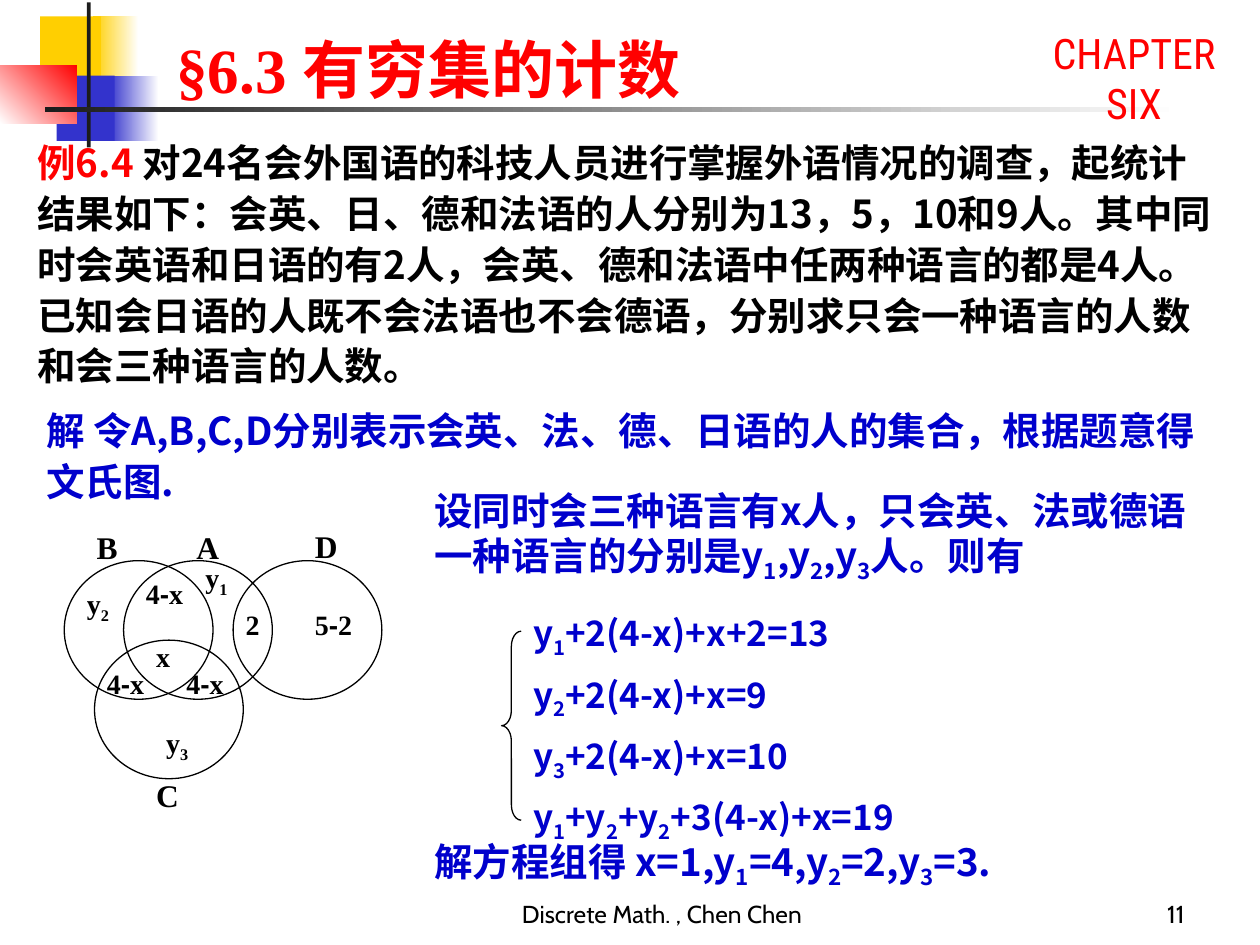
from dataclasses import dataclass, replace
from itertools import groupby
from typing import Iterator, Optional

from lxml.etree import SubElement
from pptx import Presentation
from pptx.dml.color import RGBColor as RGB
from pptx.enum.shapes import MSO_SHAPE as SHAPE
from pptx.enum.text import MSO_ANCHOR as ANCHOR, MSO_AUTO_SIZE as FIT, PP_ALIGN as ALIGN
from pptx.oxml.ns import qn
from pptx.util import Pt


@dataclass(frozen=True)
class Style:
    font: str
    size: float
    color: str
    bold: bool = True
    spacing: Optional[float] = None
    gap: float = 0
    align: ALIGN = ALIGN.LEFT
    anchor: ANCHOR = ANCHOR.TOP
    hyphen: Optional[str] = None


@dataclass(frozen=True)
class Theme:
    red: str = "FF0000"
    blue: str = "0000CC"
    black: str = "000000"
    white: str = "FFFFFF"
    yellow: str = "FFCF01"
    indigo: str = "3333CC"
    dark: str = "1C1C1C"
    cjk: str = "Noto Sans CJK SC"
    serif: str = "Times New Roman"
    title: Style = Style(serif, 36, red, spacing=47)
    chapter: Style = Style("Roboto Condensed", 24, red, bold=False, align=ALIGN.CENTER)
    prose: Style = Style(cjk, 22, blue, spacing=29.1)
    equation: Style = Style(cjk, 20, blue, spacing=30, gap=5)
    set_name: Style = Style(serif, 18, black)
    count: Style = Style(serif, 16, black, hyphen="Arial")
    footer: Style = Style("Cabin", 14, black, bold=False, align=ALIGN.CENTER, anchor=ANCHOR.BOTTOM)


T = Theme()


@dataclass(frozen=True)
class Box:
    x: float
    y: float
    w: float
    h: float

    def points(self) -> tuple:
        return Pt(self.x), Pt(self.y), Pt(self.w), Pt(self.h)


@dataclass(frozen=True)
class Block:
    box: Box
    start: str
    end: Optional[str] = None
    angle: float = 180


@dataclass(frozen=True)
class Note:
    box: Box
    text: str
    style: Style
    lead: str = ""


@dataclass(frozen=True)
class Label:
    text: str
    x: float
    y: float


BLOCKS = [
    Block(Box(53.3, 9.4, 25.9, 37.4), T.white, T.yellow),
    Block(Box(61.9, 43.2, 28.8, 37.4), T.white, T.indigo),
    Block(Box(23, 9.4, 34.6, 37.4), T.yellow),
    Block(Box(32.4, 43.2, 33.1, 37.4), T.indigo),
    Block(Box(0, 37.4, 43.9, 33.1), T.red, T.white, 225),
    Block(Box(49.7, 1.4, 2.2, 82.8), T.dark),
    Block(Box(25.9, 61.2, 648, 2.9), T.white, T.dark),
]
NOTES = [
    Note(Box(576, 12.2, 144, 64.8), "CHAPTER\vSIX", T.chapter),
    Note(Box(14.4, 73, 686.2, 147.6),
         "对24名会外国语的科技人员进行掌握外语情况的调查，起统计结果如下：会英、日、德和法语的人分别为"
         "13，5，10和9人。其中同时会英语和日语的有2人，会英、德和法语中任两种语言的都是4人。"
         "已知会日语的人既不会法语也不会德语，分别求只会一种语言的人数和会三种语言的人数。",
         replace(T.prose, color=T.black), lead="例6.4 "),
    Note(Box(19.4, 226.6, 686.2, 79.2),
         "解 令A,B,C,D分别表示会英、法、德、日语的人的集合，根据题意得文氏图.", T.prose),
    Note(Box(241.2, 272, 465.1, 73.4),
         "设同时会三种语言有x人，只会英、法或德语一种语言的分别是y_1,y_2,y_3人。则有", T.prose),
    Note(Box(241.2, 476, 447.8, 51.1), "解方程组得 x=1,y_1=4,y_2=2,y_3=3.", T.prose),
    Note(Box(264.2, 498.2, 228.2, 36), "Discrete Math. , Chen Chen", T.footer),
    Note(Box(534.2, 498.2, 149.8, 36), "11", replace(T.footer, align=ALIGN.RIGHT)),
]
EQUATIONS = ["y_1+2(4-x)+x+2=13", "y_2+2(4-x)+x=9", "y_3+2(4-x)+x=10", "y_1+y_2+y_2+3(4-x)+x=19"]
CIRCLES = [(36.7, 320.4), (70.6, 320.4), (133.2, 320.4), (54, 365.8)]
SET_NAMES = [Label("A", 105.1, 298.1), Label("D", 172.8, 297.4),
             Label("B", 48.2, 298.1), Label("C", 82.1, 439.9)]
COUNTS = [
    Label("y_1", 110.2, 316.8), Label("5-2", 172.8, 343.4), Label("2", 133.2, 343.4),
    Label("y_3", 87.8, 411.1), Label("x", 82.1, 362.2), Label("4-x", 54, 377.3),
    Label("y_2", 42.5, 331.9), Label("4-x", 99.4, 377.3), Label("4-x", 76.3, 326.2),
]


def pieces(text: str) -> Iterator[tuple[str, bool]]:
    first, *rest = text.split("_")
    yield first, False
    for part in rest:
        yield part[0], True
        if part[1:]:
            yield part[1:], False


def format_run(r, style: Style, font: str, subscript: bool = False) -> None:
    r.font.name = font
    r.font.size = Pt(style.size)
    r.font.bold = style.bold
    r.font.color.rgb = RGB.from_string(style.color)
    r_pr = r.font._element
    SubElement(r_pr, qn("a:ea")).set("typeface", T.cjk)
    if subscript:
        r_pr.set("baseline", "-25000")


def write(p, text: str, style: Style, lead: str = "") -> None:
    p.text = lead
    for r in p.runs:
        format_run(r, replace(style, color=T.red), style.font)
    p.alignment = style.align
    if style.spacing:
        p.line_spacing = Pt(style.spacing)
    for i, line in enumerate(text.split("\v")):
        if i:
            p.add_line_break()
        for chunk, subscript in pieces(line):
            for is_hyphen, chars in groupby(chunk, lambda c: bool(style.hyphen) and c == "-"):
                r = p.add_run()
                r.text = "".join(chars)
                format_run(r, style, style.hyphen if is_hyphen else style.font, subscript)


def fill_frame(tf, lines: list[str], style: Style, lead: str = "") -> None:
    tf.word_wrap = True
    tf.auto_size = FIT.NONE
    tf.vertical_anchor = style.anchor
    for i, line in enumerate(lines):
        p = tf.add_paragraph() if i else tf.paragraphs[0]
        write(p, line, style, lead)
        p.space_before = Pt(style.gap if i else 0)


def place(s, box: Box) -> None:
    s.left, s.top, s.width, s.height = box.points()


def draw_note(sp, note: Note) -> None:
    box = sp.add_textbox(*note.box.points())
    fill_frame(box.text_frame, [note.text], note.style, note.lead)


def draw_block(sp, block: Block) -> None:
    s = sp.add_shape(SHAPE.RECTANGLE, *block.box.points())
    s.shadow.inherit = False
    s.line.fill.background()
    if block.end is None:
        s.fill.solid()
        s.fill.fore_color.rgb = RGB.from_string(block.start)
        return
    s.fill.gradient()
    s.fill.gradient_angle = block.angle
    for stop, color in zip(s.fill.gradient_stops, (block.start, block.end)):
        stop.color.rgb = RGB.from_string(color)


def draw_outline(sp, kind: SHAPE, box: Box):
    s = sp.add_shape(kind, *box.points())
    s.shadow.inherit = False
    s.fill.background()
    s.line.color.rgb = RGB.from_string(T.black)
    s.line.width = Pt(0.75)
    return s


def main() -> None:
    prs = Presentation()
    prs.slide_width, prs.slide_height = Pt(720), Pt(540)
    slide = prs.slides.add_slide(prs.slide_layouts[1])
    sp = slide.shapes

    for block in BLOCKS:
        draw_block(sp, block)
    place(sp.title, Box(93.6, 10.1, 447.8, 50.4))
    fill_frame(sp.title.text_frame, ["§6.3 有穷集的计数"], T.title)

    body = slide.placeholders[1]
    place(body, Box(297.4, 343.4, 272.2, 124.6))
    fill_frame(body.text_frame, EQUATIONS, T.equation)
    for p in body.text_frame.paragraphs:
        p_pr = p._p.get_or_add_pPr()
        p_pr.set("marL", "0")
        p_pr.set("indent", "0")
        SubElement(p_pr, qn("a:buNone"))
    brace = draw_outline(sp, SHAPE.LEFT_BRACE, Box(286.6, 360.7, 11.2, 108))
    brace.adjustments[0] = 0.78

    for x, y in CIRCLES:
        draw_outline(sp, SHAPE.OVAL, Box(x, y, 85, 79.2))
    for labels, style, w in ((SET_NAMES, T.set_name, 28.1), (COUNTS, T.count, 39.6)):
        for label in labels:
            draw_note(sp, Note(Box(label.x, label.y, w, 28.8), label.text, style))
    for note in NOTES:
        draw_note(sp, note)

    prs.save("out.pptx")


if __name__ == "__main__":
    main()
